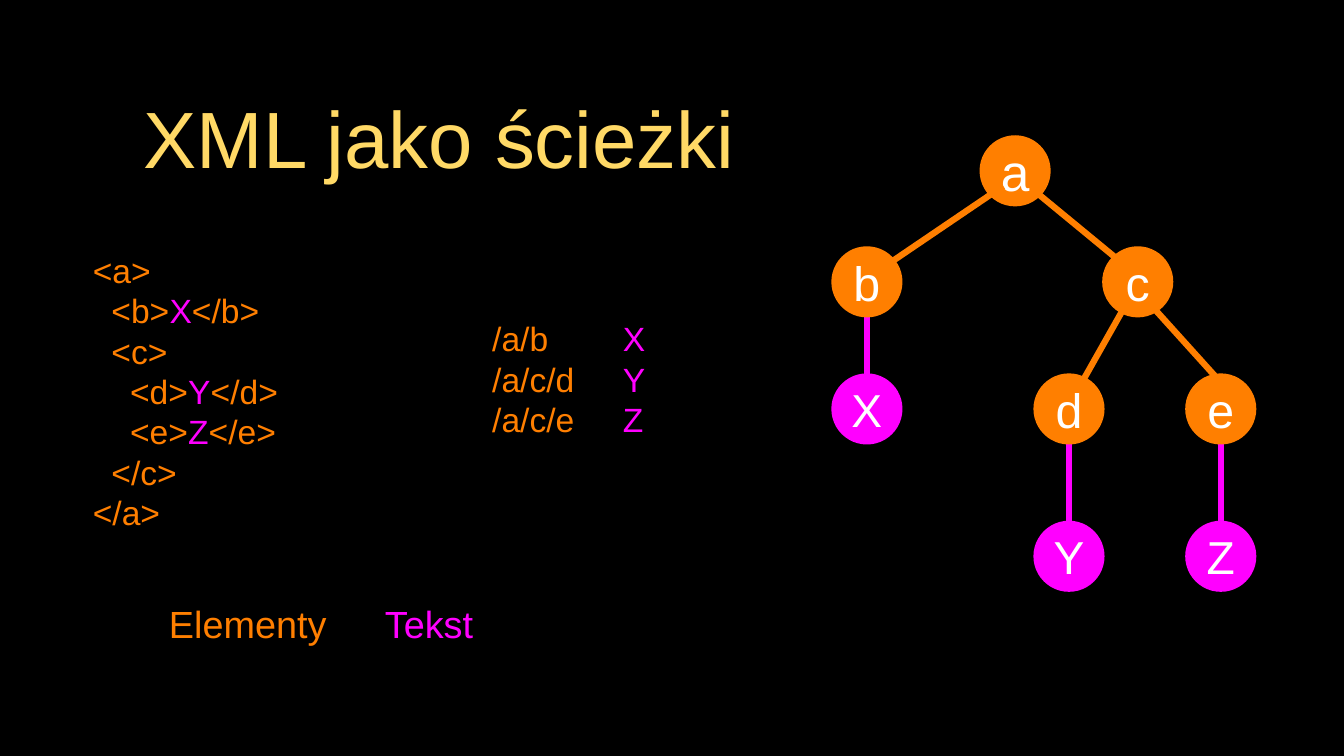
"""Build a slide that shows an XML document as paths and as a tree."""
from dataclasses import dataclass

from lxml import etree
from pptx import Presentation
from pptx.dml.color import RGBColor
from pptx.enum.shapes import MSO_CONNECTOR, MSO_SHAPE
from pptx.enum.text import MSO_ANCHOR, PP_ALIGN
from pptx.oxml.ns import qn
from pptx.util import Cm, Pt

STRAIGHT = MSO_CONNECTOR.STRAIGHT
OVAL = MSO_SHAPE.OVAL
MIDDLE = MSO_ANCHOR.MIDDLE
LEFT, CENTER = PP_ALIGN.LEFT, PP_ALIGN.CENTER


@dataclass(frozen=True)
class Theme:
    font: str = "Arial"
    background: str = "000000"
    title: str = "FFD966"
    element: str = "FF7F00"
    text: str = "FF00FF"
    label: str = "FFFFFF"
    title_size: int = 76
    code_size: int = 32
    legend_size: int = 36
    root_size: int = 49
    element_size: int = 46
    text_size: int = 44
    leading: float = 1.2
    line_width: int = 6
    diameter: float = 2.39


THEME = Theme()
ELEMENT, TEXT = THEME.element, THEME.text

CODE = [
    [("<a>", ELEMENT)],
    [("  <b>", ELEMENT), ("X", TEXT), ("</b>", ELEMENT)],
    [("  <c>", ELEMENT)],
    [("    <d>", ELEMENT), ("Y", TEXT), ("</d>", ELEMENT)],
    [("    <e>", ELEMENT), ("Z", TEXT), ("</e>", ELEMENT)],
    [("  </c>", ELEMENT)],
    [("</a>", ELEMENT)],
]
PATHS = [("/a/b", "X"), ("/a/c/d", "Y"), ("/a/c/e", "Z")]
PATH_TAB = 4.39

COL_B, COL_D, COL_E = 29.13, 35.92, 41.02
ROW_2, ROW_3, ROW_4 = 9.47, 13.74, 18.69
NODES = [
    ("a", 34.11, 5.74, ELEMENT, THEME.root_size),
    ("b", COL_B, ROW_2, ELEMENT, THEME.element_size),
    ("c", 38.23, ROW_2, ELEMENT, THEME.element_size),
    ("X", COL_B, ROW_3, TEXT, THEME.text_size),
    ("d", COL_D, ROW_3, ELEMENT, THEME.element_size),
    ("e", COL_E, ROW_3, ELEMENT, THEME.element_size),
    ("Y", COL_D, ROW_4, TEXT, THEME.text_size),
    ("Z", COL_E, ROW_4, TEXT, THEME.text_size),
]
TEXT_EDGES = [
    (COL_B, 10.24, COL_B, 13.11),
    (COL_D, 14.73, COL_D, 17.6),
    (COL_E, 14.73, COL_E, 17.6),
]
ELEMENT_EDGES = [
    (33.71, 6.25, 29.67, 8.99),
    (34.72, 6.38, 37.67, 8.81),
    (37.77, 10.34, 36.25, 13.03),
    (38.71, 10.29, 40.84, 12.65),
]


def rgb(color):
    return RGBColor.from_string(color)


def write(tf, lines, size, align, inset=0, tab=None):
    tf.vertical_anchor = MIDDLE
    tf.margin_left = tf.margin_right = Cm(inset)
    tf.margin_top = tf.margin_bottom = Cm(inset)
    for i, runs in enumerate(lines):
        p = tf.add_paragraph() if i else tf.paragraphs[0]
        p.alignment = align
        p.line_spacing = Pt(size * THEME.leading)
        if tab:
            tabs = etree.SubElement(p._p.get_or_add_pPr(), qn("a:tabLst"))
            etree.SubElement(tabs, qn("a:tab"), pos=str(Cm(tab)), algn="l")
        for text, color in runs:
            r = p.add_run()
            r.text = text
            r.font.name = THEME.font
            r.font.size = Pt(size)
            r.font.color.rgb = rgb(color)


def add_text(s, box, lines, size, align=LEFT, **options):
    tf = s.shapes.add_textbox(*map(Cm, box)).text_frame
    tf.word_wrap = True
    write(tf, lines, size, align, **options)


def add_node(s, label, x, y, color, size):
    d = THEME.diameter
    sp = s.shapes.add_shape(OVAL, Cm(x - d / 2), Cm(y - d / 2), Cm(d), Cm(d))
    sp.shadow.inherit = False
    sp.fill.solid()
    sp.fill.fore_color.rgb = rgb(color)
    sp.line.fill.background()
    sp.text_frame.word_wrap = False
    write(sp.text_frame, [[(label, THEME.label)]], size, CENTER)


def add_edge(s, ends, color):
    line = s.shapes.add_connector(STRAIGHT, *map(Cm, ends))
    line.line.color.rgb = rgb(color)
    line.line.width = Pt(THEME.line_width)
    etree.SubElement(line._element.spPr, qn("a:effectLst"))


def add_tree(s):
    for ends in TEXT_EDGES:
        add_edge(s, ends, TEXT)
    for node in NODES:
        add_node(s, *node)
    for ends in ELEMENT_EDGES:
        add_edge(s, ends, ELEMENT)


def main():
    prs = Presentation()
    prs.slide_width, prs.slide_height = Cm(45.16), Cm(25.4)
    s = prs.slides.add_slide(prs.slide_layouts[6])
    s.background.fill.solid()
    s.background.fill.fore_color.rgb = rgb(THEME.background)

    add_text(s, (3.2, 2.11, 23.11, 4.93), [[("XML jako ścieżki", THEME.title)]],
             THEME.title_size, CENTER, inset=0.1)
    add_text(s, (3.12, 7.75, 6.86, 10.77), CODE, THEME.code_size)
    add_tree(s)
    paths = [[(path + "\t", ELEMENT), (value, TEXT)] for path, value in PATHS]
    add_text(s, (16.54, 10.39, 7.49, 4.67), paths, THEME.code_size, tab=PATH_TAB)
    for name, x, width, color in [("Elementy", 5.38, 5.89, ELEMENT),
                                  ("Tekst", 12.65, 3.53, TEXT)]:
        add_text(s, (x, 20.07, width, 1.73), [[(name, color)]],
                 THEME.legend_size, CENTER)
    prs.save("out.pptx")


if __name__ == "__main__":
    main()
